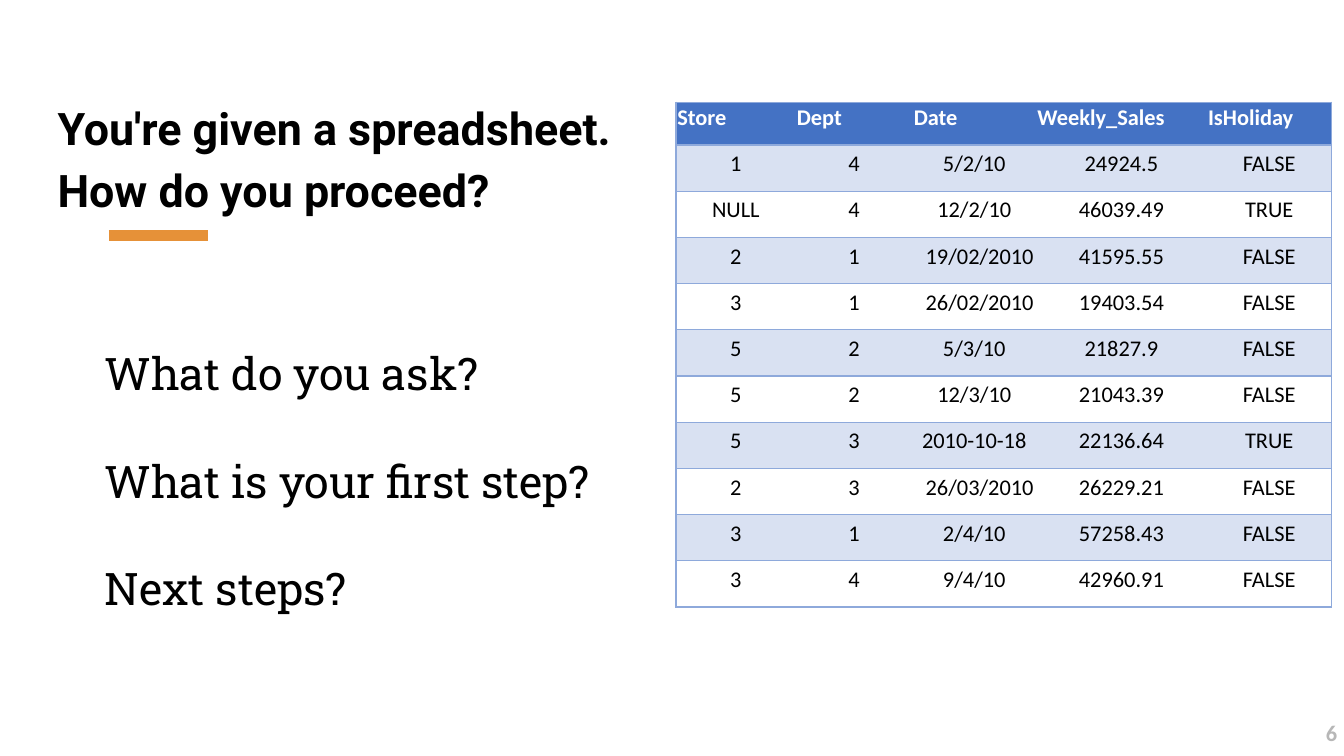
from dataclasses import dataclass
from typing import Any

from lxml.etree import SubElement
from pptx import Presentation
from pptx.dml.color import RGBColor
from pptx.enum.shapes import MSO_CONNECTOR
from pptx.enum.text import MSO_ANCHOR, PP_ALIGN
from pptx.oxml.ns import qn
from pptx.util import Inches, Pt


@dataclass(frozen=True)
class Theme:
    ink: str = "000000"
    white: str = "FFFFFF"
    head: str = "4472C4"
    band: str = "D9E1F2"
    rule: str = "8EA9DB"
    accent: str = "E69138"
    muted: str = "B7B7B7"
    title: str = "Roboto"
    body: str = "Roboto Slab"
    data: str = "Calibri"
    large: int = 24
    small: int = 12


@dataclass(frozen=True)
class Box:
    left: float
    top: float
    width: float
    height: float
    inset: float = 0.1
    drop: float = 0.1


THEME = Theme()
WIDTHS = (0.89, 0.87, 0.92, 1.27, 0.93)
HEAD_ROW, DATA_ROWS = 0.32, 3.44
DATE_COL, DATE_SHIFT = 2, 0.08
TABLE = Box(5.03, 0.76, sum(WIDTHS), HEAD_ROW + DATA_ROWS)
SALES = (
    ("Store", "Dept", "Date", "Weekly_Sales", "IsHoliday"),
    ("1", "4", "5/2/10", "24924.5", "FALSE"),
    ("NULL", "4", "12/2/10", "46039.49", "TRUE"),
    ("2", "1", "19/02/2010", "41595.55", "FALSE"),
    ("3", "1", "26/02/2010", "19403.54", "FALSE"),
    ("5", "2", "5/3/10", "21827.9", "FALSE"),
    ("5", "2", "12/3/10", "21043.39", "FALSE"),
    ("5", "3", "2010-10-18", "22136.64", "TRUE"),
    ("2", "3", "26/03/2010", "26229.21", "FALSE"),
    ("3", "1", "2/4/10", "57258.43", "FALSE"),
    ("3", "4", "9/4/10", "42960.91", "FALSE"),
)


def write(frame: Any, *lines: str, font: str, size: int, color: str = THEME.ink,
          bold: bool = False, align: PP_ALIGN = PP_ALIGN.LEFT,
          spacing: float = 1.0, gap: float = 0) -> None:
    """Fill a text frame, one paragraph a line, with gap points between."""
    for i, line in enumerate(lines):
        para = frame.paragraphs[0] if i == 0 else frame.add_paragraph()
        para.alignment = align
        para.line_spacing = spacing
        para.space_before = Pt(gap if i else 0)
        run = para.add_run()
        run.text = line
        run.font.name = font
        run.font.size = Pt(size)
        run.font.bold = bold
        run.font.color.rgb = RGBColor.from_string(color)


def add_box(slide: Any, box: Box, *lines: str,
            anchor: MSO_ANCHOR = MSO_ANCHOR.TOP, **style: Any) -> None:
    shape = slide.shapes.add_textbox(Inches(box.left), Inches(box.top),
                                     Inches(box.width), Inches(box.height))
    frame = shape.text_frame
    frame.word_wrap = True
    frame.vertical_anchor = anchor
    frame.margin_left = frame.margin_right = Inches(box.inset)
    frame.margin_top = Inches(box.drop)
    frame.margin_bottom = Inches(box.inset)
    write(frame, *lines, **style)


def add_accent(slide: Any) -> None:
    line = slide.shapes.add_connector(MSO_CONNECTOR.STRAIGHT, Inches(0.81),
                                      Inches(1.75), Inches(1.55), Inches(1.75))
    line.line.width = Pt(6)
    line.line.color.rgb = RGBColor.from_string(THEME.accent)
    SubElement(line._element.spPr, qn("a:effectLst"))


def add_edges(cell: Any, first: bool, last: bool) -> None:
    """Rule a cell above and below, and on the table's outer sides."""
    props = cell._tc.get_or_add_tcPr()
    for side, ruled in (("L", first), ("R", last), ("T", True), ("B", True)):
        edge = SubElement(props, qn(f"a:ln{side}"), w=str(Pt(0.75) if ruled else 0))
        if ruled:
            fill = SubElement(edge, qn("a:solidFill"))
            SubElement(fill, qn("a:srgbClr"), val=THEME.rule)
        else:
            SubElement(edge, qn("a:noFill"))


def fill_cell(cell: Any, text: str, row: int, col: int) -> None:
    head = row == 0
    full = col == DATE_COL and len(text) == 10
    shift = DATE_SHIFT if full and "/" in text else 0
    cell.margin_left = Inches(0.01 + shift)
    cell.margin_right = cell.margin_top = Inches(0.01)
    cell.margin_bottom = Inches(0.1)
    cell.vertical_anchor = MSO_ANCHOR.BOTTOM
    add_edges(cell, col == 0, col == len(WIDTHS) - 1)
    if head or row % 2:
        cell.fill.solid()
        cell.fill.fore_color.rgb = RGBColor.from_string(
            THEME.head if head else THEME.band)
    else:
        cell.fill.background()
    write(cell.text_frame, text, font=THEME.data, size=THEME.small, bold=head,
          color=THEME.white if head else THEME.ink,
          align=PP_ALIGN.LEFT if head else PP_ALIGN.CENTER,
          spacing=1.0 if head or full else 1.15)


def add_sales(slide: Any) -> None:
    table = slide.shapes.add_table(
        len(SALES), len(WIDTHS), Inches(TABLE.left), Inches(TABLE.top),
        Inches(TABLE.width), Inches(TABLE.height)).table
    table.horz_banding = False
    for col, width in enumerate(WIDTHS):
        table.columns[col].width = Inches(width)
    for row, values in enumerate(SALES):
        height = DATA_ROWS / (len(SALES) - 1) if row else HEAD_ROW
        table.rows[row].height = Inches(height)
        for col, text in enumerate(values):
            fill_cell(table.cell(row, col), text, row, col)


def main() -> None:
    deck = Presentation()
    deck.slide_width, deck.slide_height = Inches(10), Inches(10 * 9 / 16)
    slide = deck.slides.add_slide(deck.slide_layouts[6])
    add_accent(slide)
    add_box(slide, Box(0.33, 0.31, 4.73, 1.4),
            "You're given a spreadsheet.", "How do you proceed?",
            anchor=MSO_ANCHOR.BOTTOM, font=THEME.title, size=THEME.large,
            bold=True, spacing=1.15)
    add_box(slide, Box(9.35, 5.1, 0.6, 0.43, inset=0, drop=0.3), "6",
            font=THEME.data, size=THEME.small, color=THEME.muted, bold=True,
            align=PP_ALIGN.RIGHT)
    add_box(slide, Box(0.68, 2.47, 3.94, 2.12),
            "What do you ask?", "What is your first step?", "Next steps?",
            font=THEME.body, size=THEME.large, gap=29)
    add_sales(slide)
    deck.save("out.pptx")


if __name__ == "__main__":
    main()
